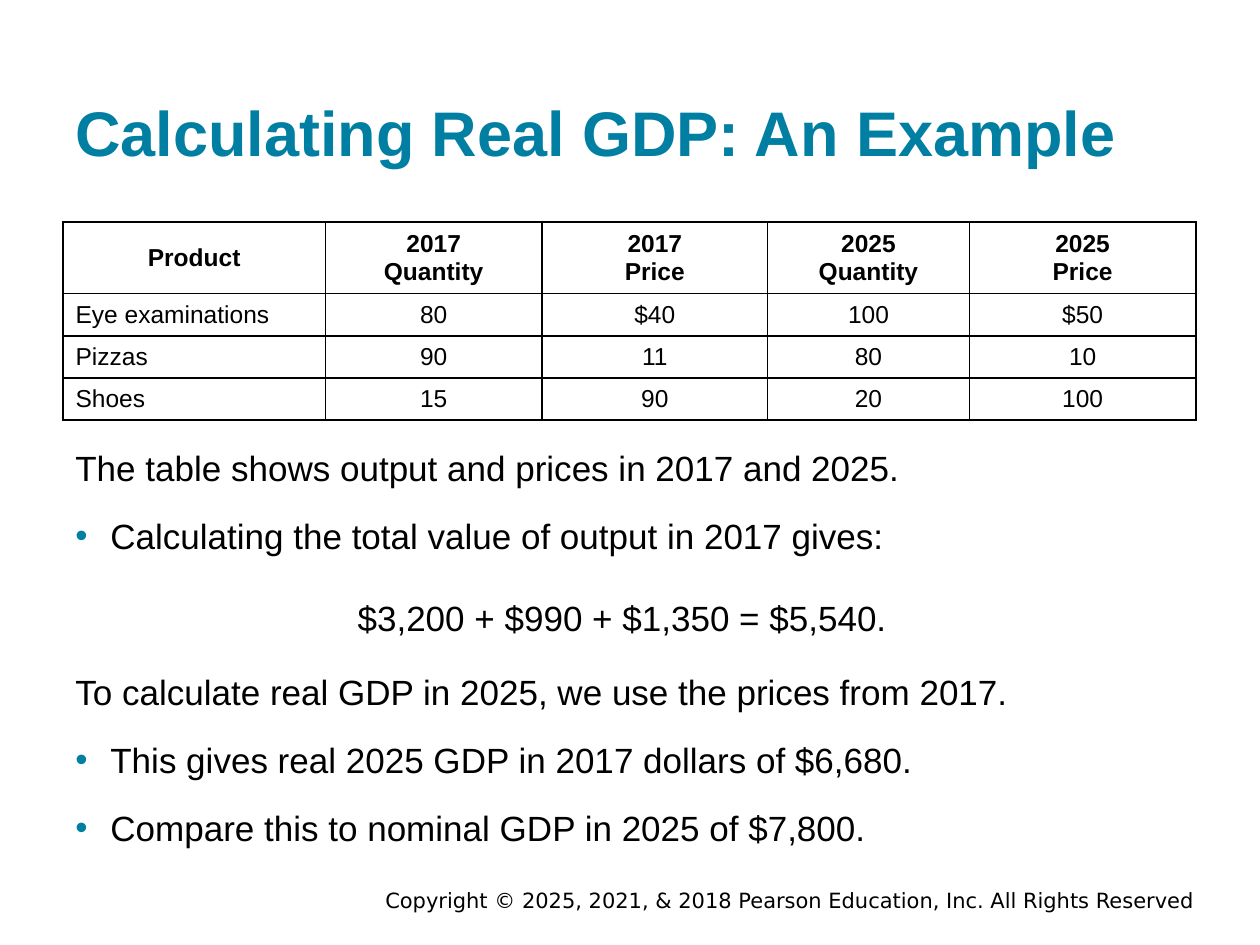
from lxml import etree
from pptx import Presentation
from pptx.dml.color import RGBColor
from pptx.enum.text import MSO_ANCHOR, PP_ALIGN
from pptx.oxml.ns import qn
from pptx.util import Pt

LEFT, CENTER, RIGHT = PP_ALIGN.LEFT, PP_ALIGN.CENTER, PP_ALIGN.RIGHT
TOP, MIDDLE, BOTTOM = MSO_ANCHOR.TOP, MSO_ANCHOR.MIDDLE, MSO_ANCHOR.BOTTOM

TEAL, BLACK = "007FA3", "000000"
BODY_FONT, FOOTER_FONT = "Arial", "DejaVu Sans"
BODY_SIZE, TABLE_SIZE = 20, 14
BULLET_INDENT, BULLET_GAP = 20, 15

TITLE = "Calculating Real GDP: An Example"
FOOTER = "Copyright © 2025, 2021, & 2018 Pearson Education, Inc. All Rights Reserved"

TABLE_ROWS = [
    ["Product", "2017\nQuantity", "2017\nPrice", "2025\nQuantity", "2025\nPrice"],
    ["Eye examinations", "80", "$40", "100", "$50"],
    ["Pizzas", "90", "11", "80", "10"],
    ["Shoes", "15", "90", "20", "100"],
]
TABLE_LEFT, TABLE_TOP = 36, 127
COLUMN_WIDTHS = [150, 123.75, 129, 115.25, 129.5]
ROW_HEIGHTS = [39, 23, 23, 23]

# Each block: left, top, width, height, lead line, bulleted lines
BODY_BLOCKS = [
    (36, 247.7, 648, 76.3, "The table shows output and prices in 2017 and 2025.",
     ["Calculating the total value of output in 2017 gives:"]),
    (197.3, 333.4, 326.2, 35.3, "$3,200 + $990 + $1,350 = $5,540.", []),
    (36, 375.8, 648, 117.4, "To calculate real GDP in 2025, we use the prices from 2017.",
     ["This gives real 2025 GDP in 2017 dollars of $6,680.",
      "Compare this to nominal GDP in 2025 of $7,800."]),
]


def rgb(color):
    return RGBColor.from_string(color)


def style(paragraph, size, color=BLACK, bold=False, font=BODY_FONT, align=LEFT):
    paragraph.alignment = align
    for run in paragraph.runs:
        run.font.name = font
        run.font.size = Pt(size)
        run.font.bold = bold
        run.font.color.rgb = rgb(color)


def add_text_box(slide, left, top, width, height, lines, anchor=TOP, inset=7.2):
    """Add a wrapping text box and return its text frame."""
    box = slide.shapes.add_textbox(Pt(left), Pt(top), Pt(width), Pt(height))
    frame = box.text_frame
    frame.word_wrap = True
    frame.vertical_anchor = anchor
    frame.margin_left = frame.margin_right = Pt(7.2)
    frame.margin_top = frame.margin_bottom = Pt(inset)
    frame.text = "\n".join(lines)
    return frame


def add_bullet(paragraph):
    paragraph.space_before = Pt(BULLET_GAP)
    properties = paragraph._p.get_or_add_pPr()
    properties.set("marL", str(Pt(BULLET_INDENT)))
    properties.set("indent", str(-Pt(BULLET_INDENT)))
    color = etree.SubElement(properties, qn("a:buClr"))
    etree.SubElement(color, qn("a:srgbClr"), val=TEAL)
    etree.SubElement(properties, qn("a:buFont"), typeface=BODY_FONT)
    etree.SubElement(properties, qn("a:buChar"), char="•")


def add_borders(cell):
    """Draw a thin black line on all four sides, placed before the fill."""
    properties = cell._tc.get_or_add_tcPr()
    for position, side in enumerate(("a:lnL", "a:lnR", "a:lnT", "a:lnB")):
        line = etree.Element(qn(side), w=str(Pt(1)))
        fill = etree.SubElement(line, qn("a:solidFill"))
        etree.SubElement(fill, qn("a:srgbClr"), val=BLACK)
        properties.insert(position, line)


def add_price_table(slide):
    table = slide.shapes.add_table(
        len(TABLE_ROWS), len(COLUMN_WIDTHS), Pt(TABLE_LEFT), Pt(TABLE_TOP),
        Pt(sum(COLUMN_WIDTHS)), Pt(sum(ROW_HEIGHTS))).table
    table.horz_banding = False
    for column, width in zip(table.columns, COLUMN_WIDTHS):
        column.width = Pt(width)
    for row, height in zip(table.rows, ROW_HEIGHTS):
        row.height = Pt(height)
    for row_index, texts in enumerate(TABLE_ROWS):
        for column_index, text in enumerate(texts):
            cell = table.cell(row_index, column_index)
            cell.text_frame.text = text
            cell.vertical_anchor = MIDDLE
            cell.fill.background()
            add_borders(cell)
            is_header = row_index == 0
            align = CENTER if is_header or column_index else LEFT
            for paragraph in cell.text_frame.paragraphs:
                style(paragraph, TABLE_SIZE, bold=is_header, align=align)


def main():
    presentation = Presentation()
    presentation.slide_width, presentation.slide_height = Pt(720), Pt(540)
    slide = presentation.slides.add_slide(presentation.slide_layouts[6])

    footer = add_text_box(slide, 126, 506.2, 563.8, 15.8, [FOOTER], MIDDLE, 3.6)
    style(footer.paragraphs[0], 12, font=FOOTER_FONT, align=RIGHT)

    title = add_text_box(slide, 36, 17.3, 648, 86.4, [TITLE], BOTTOM)
    style(title.paragraphs[0], 36, TEAL, bold=True)

    add_price_table(slide)

    for left, top, width, height, lead, bullets in BODY_BLOCKS:
        frame = add_text_box(slide, left, top, width, height, [lead, *bullets])
        for paragraph in frame.paragraphs[1:]:
            add_bullet(paragraph)
        for paragraph in frame.paragraphs:
            style(paragraph, BODY_SIZE)

    presentation.save("out.pptx")


if __name__ == "__main__":
    main()
